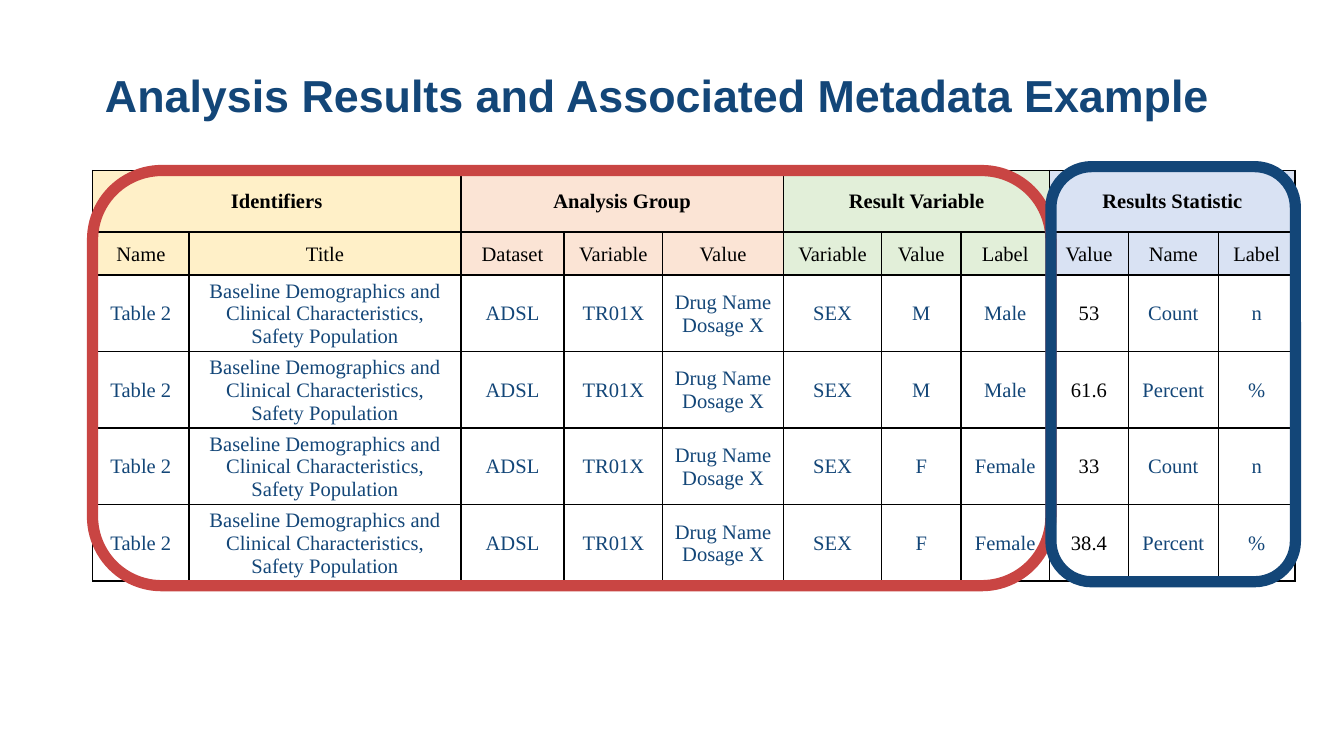
from lxml import etree
from pptx import Presentation, util as u
from pptx.dml import color
from pptx.enum import shapes, text
from pptx.oxml import ns

NAVY, RED, BLACK = "134678", "C94543", "000000"

GROUPS = [
    ("Identifiers", "FFF0C8", ["Name", "Title"]),
    ("Analysis Group", "FBE4D5", ["Dataset", "Variable", "Value"]),
    ("Result Variable", "E2EFD9", ["Variable", "Value", "Label"]),
    ("Results Statistic", "D9E2F3", ["Value", "Name", "Label"]),
]
RESULTS = [
    ("M", "Male", "53", "Count", "n"),
    ("M", "Male", "61.6", "Percent", "%"),
    ("F", "Female", "33", "Count", "n"),
    ("F", "Female", "38.4", "Percent", "%"),
]
SHARED = (
    "Table 2",
    "Baseline Demographics and Clinical Characteristics, Safety Population",
    "ADSL", "TR01X", "Drug Name Dosage X", "SEX",
)
STATISTIC_COLUMN = 8
COLUMN_WIDTHS = [51.8, 145.5, 55.4, 52.7, 64.8, 52.6, 42.4, 47.6, 42.2, 48.2, 41.2]
ROW_HEIGHTS = [33, 23] + [41] * len(RESULTS)


def rgb(value):
    return color.RGBColor.from_string(value)


def write(frame, words, *, size, font, ink, bold=False, align=None, spacing=None):
    para = frame.paragraphs[0]
    para.alignment = align
    para.line_spacing = spacing
    span = para.add_run()
    span.text = words
    span.font.size = u.Pt(size)
    span.font.name = font
    span.font.bold = bold
    span.font.color.rgb = rgb(ink)


def set_margins(target, left, top, right, bottom):
    target.margin_left, target.margin_top = u.Pt(left), u.Pt(top)
    target.margin_right, target.margin_bottom = u.Pt(right), u.Pt(bottom)


def add_borders(cell, ink, width):
    properties = cell._tc.get_or_add_tcPr()
    for side in ("a:lnL", "a:lnR", "a:lnT", "a:lnB"):
        line = etree.SubElement(properties, ns.qn(side), w=str(u.Pt(width)))
        fill = etree.SubElement(line, ns.qn("a:solidFill"))
        etree.SubElement(fill, ns.qn("a:srgbClr"), val=ink)


class Painter:
    """Holds the fonts and the current page."""

    title_font = "Arial"
    table_font = "Times New Roman"

    def __init__(self, page):
        self.page = page

    def title(self, words, left, top, width, height):
        box = self.page.shapes.add_textbox(*map(u.Pt, (left, top, width, height)))
        frame = box.text_frame
        frame.word_wrap = True
        frame.vertical_anchor = text.MSO_ANCHOR.MIDDLE
        set_margins(frame, 0, 0, 0, 0)
        write(frame, words, size=24, font=self.title_font, ink=NAVY, bold=True,
              spacing=0.9)

    def table(self, left, top, widths, heights):
        """Add an empty bordered grid."""
        table = self.page.shapes.add_table(
            len(heights), len(widths),
            *map(u.Pt, (left, top, sum(widths), sum(heights)))).table
        table.first_row = table.horz_banding = False
        for column, width in zip(table.columns, widths):
            column.width = u.Pt(width)
        for row, height in zip(table.rows, heights):
            row.height = u.Pt(height)
        for cell in table.iter_cells():
            add_borders(cell, BLACK, 1)
            cell.fill.background()
        return table

    def cell(self, cell, words, ink=BLACK, fill=None, bold=False,
             margins=(5, 0.7, 5, 0)):
        cell.vertical_anchor = text.MSO_ANCHOR.MIDDLE
        set_margins(cell, *margins)
        if fill:
            cell.fill.solid()
            cell.fill.fore_color.rgb = rgb(fill)
        write(cell.text_frame, words, size=11, font=self.table_font, ink=ink,
              bold=bold, align=text.PP_ALIGN.CENTER)

    def outline(self, ink, left, top, width, height):
        box = self.page.shapes.add_shape(
            shapes.MSO_SHAPE.ROUNDED_RECTANGLE,
            *map(u.Pt, (left, top, width, height)))
        box.shadow.inherit = False
        box.fill.background()
        box.line.color.rgb = rgb(ink)
        box.line.width = u.Pt(6)


def main():
    deck = Presentation()
    deck.slide_width, deck.slide_height = u.Pt(720), u.Pt(405)
    painter = Painter(deck.slides.add_slide(deck.slide_layouts[6]))

    painter.title("Analysis Results and Associated Metadata Example",
                  56.2, 13, 620.6, 78.5)

    table = painter.table(49.6, 91.4, COLUMN_WIDTHS, ROW_HEIGHTS)
    first = 0
    for group, fill, labels in GROUPS:
        last = first + len(labels) - 1
        table.cell(0, first).merge(table.cell(0, last))
        painter.cell(table.cell(0, first), group, fill=fill, bold=True,
                     margins=(6.5, 3.6, 6.5, 3.6))
        for column, label in enumerate(labels, first):
            painter.cell(table.cell(1, column), label, fill=fill)
        first = last + 1

    for row, result in enumerate(RESULTS, 2):
        for column, words in enumerate(SHARED + result):
            ink = BLACK if column == STATISTIC_COLUMN else NAVY
            painter.cell(table.cell(row, column), words, ink=ink)

    painter.outline(RED, 49.6, 91.4, 513.4, 222.4)
    painter.outline(NAVY, 563, 89.3, 131, 222.4)

    deck.save("out.pptx")


if __name__ == "__main__":
    main()
